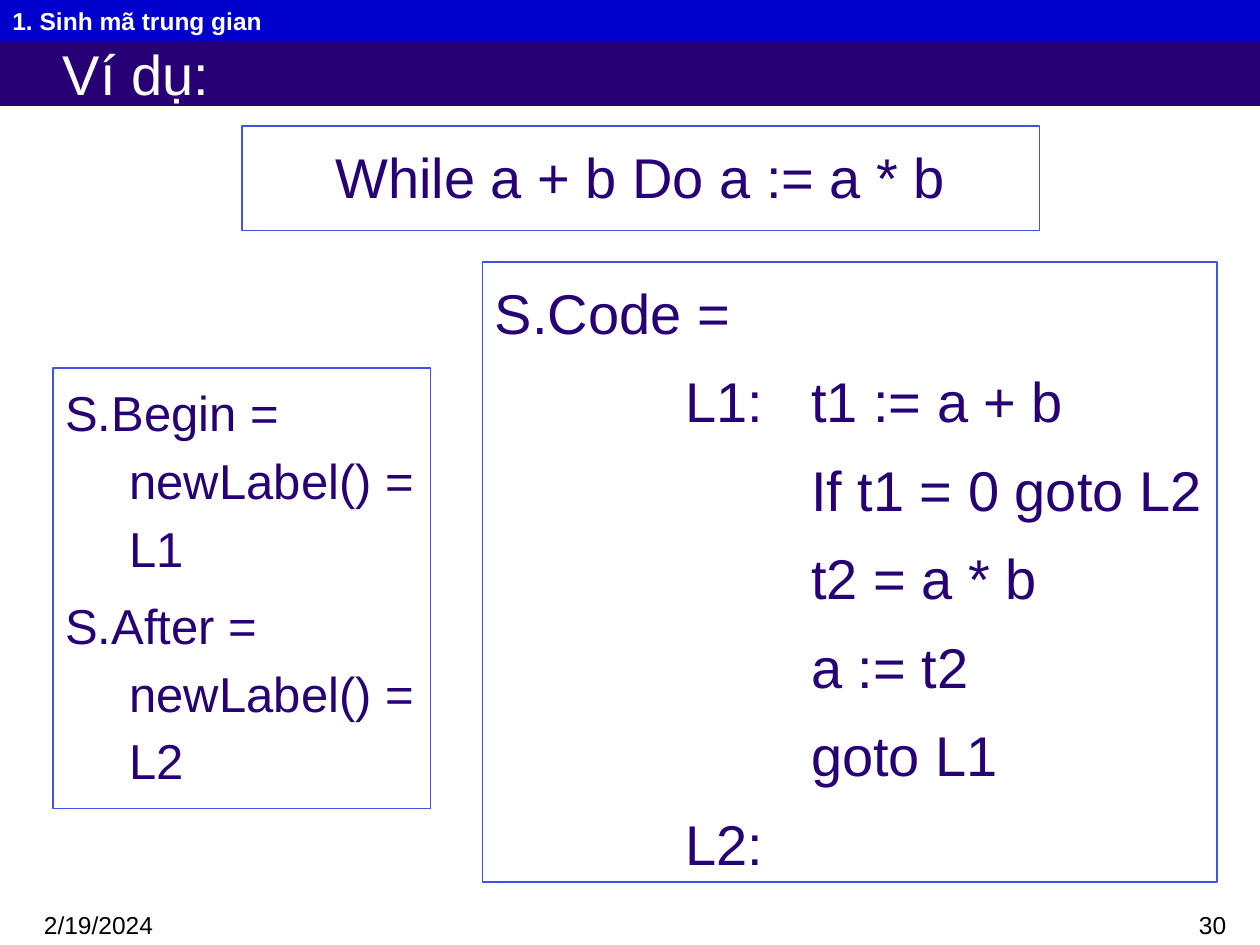
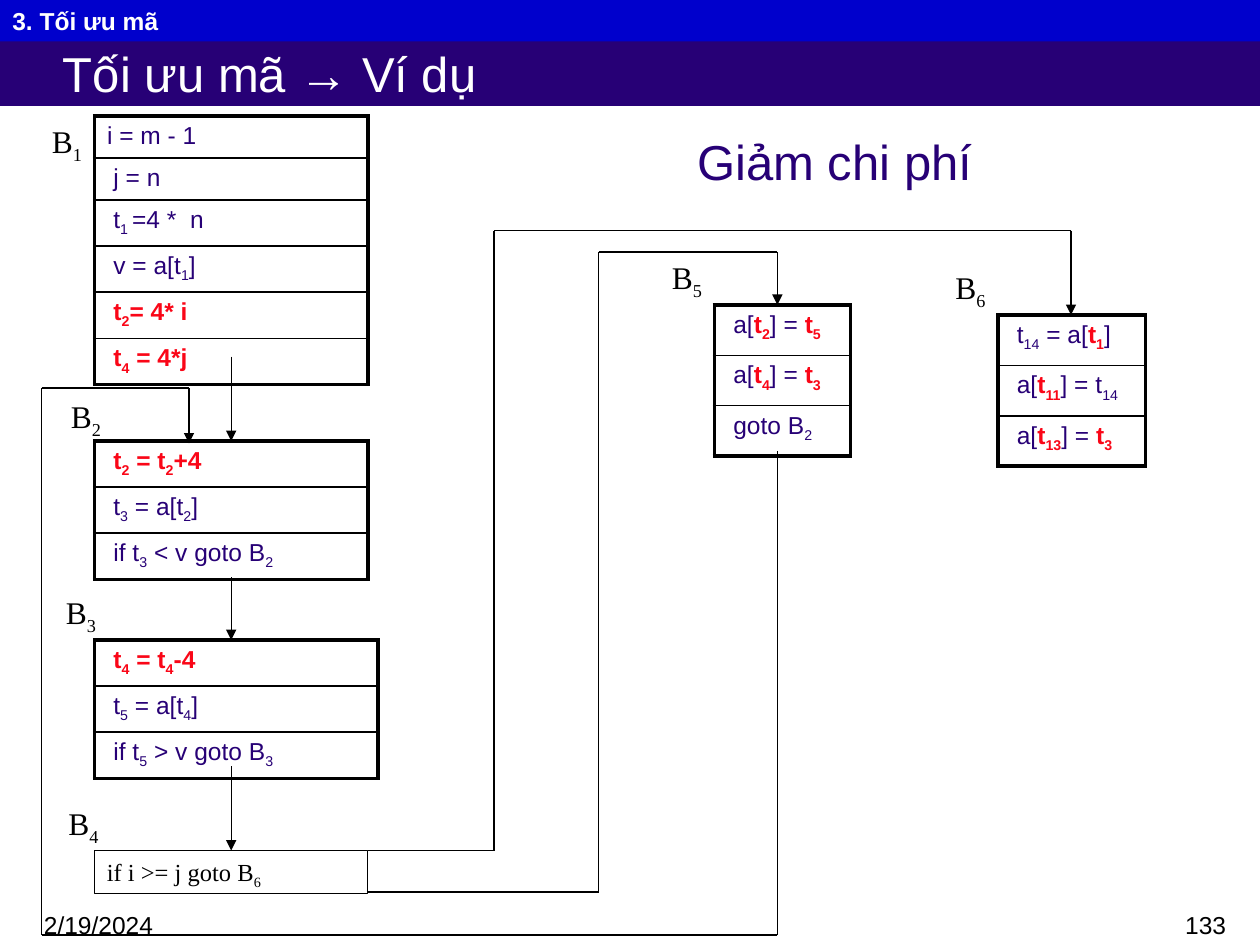
import itertools

import pptx
import pptx.dml.color
import pptx.enum.shapes
import pptx.enum.text
import pptx.oxml
import pptx.oxml.ns
import pptx.util
from pptx.util import Inches

RGBColor = pptx.dml.color.RGBColor
WHITE = RGBColor(0xFF, 0xFF, 0xFF)
BLACK = RGBColor(0x00, 0x00, 0x00)
INDIGO = RGBColor(0x27, 0x00, 0x76)
BAND_BLUE = RGBColor(0x00, 0x00, 0xCC)
FRAME_BLUE = RGBColor(0x3F, 0x53, 0xE5)
RED = RGBColor(0xFA, 0x06, 0x17)

TOP = pptx.enum.text.MSO_ANCHOR.TOP
MIDDLE = pptx.enum.text.MSO_ANCHOR.MIDDLE
LEFT = pptx.enum.text.PP_ALIGN.LEFT
CENTER = pptx.enum.text.PP_ALIGN.CENTER
RIGHT = pptx.enum.text.PP_ALIGN.RIGHT

BODY = {"name": "Arial", "size": 14, "color": INDIGO}
FOOTER = BODY | {"color": BLACK}
SERIF = FOOTER | {"name": "Times New Roman"}
HANG = (0.51, -0.51)

BLOCK_LEFT, BLOCK_WIDTH = 0.75, 2.17
FLOW_X = BLOCK_LEFT + BLOCK_WIDTH / 2


class SlideBuilder:
    def __init__(self):
        self.deck = pptx.Presentation()
        self.deck.slide_width, self.deck.slide_height = Inches(10), Inches(7.5)
        self.page = None

    def new_page(self, chapter, title, title_size, number):
        self.page = self.deck.slides.add_slide(self.deck.slide_layouts[6])
        self.text((0.25, 7.17, 1.92, 0.33), "2/19/2024", FOOTER)
        self.text((7.75, 7.17, 2.08, 0.24), number, FOOTER, align=RIGHT)
        heading = self.box((0, 0.32, 10, 0.52), title,
                           BODY | {"size": title_size, "color": WHITE},
                           fill=INDIGO, anchor=MIDDLE)
        frame = heading.text_frame
        frame.margin_left, frame.margin_top, frame.margin_bottom = Inches(0.5), 0, 0
        self.box((0, 0, 10, 0.33), chapter, BODY | {"color": WHITE, "bold": True},
                 fill=BAND_BLUE)

    def spans(self, para, text, style):
        """Write text in which ^ switches red bold and _ switches subscript."""
        for red_index, part in enumerate(text.split("^")):
            look = style | ({"color": RED, "bold": True} if red_index % 2 else {})
            for sub_index, piece in enumerate(part.split("_")):
                if not piece:
                    continue
                span = para.add_run()
                span.text = piece
                span.font.color.rgb = look["color"]
                values = {"name": look["name"], "size": pptx.util.Pt(look["size"]),
                          "bold": look.get("bold", False)}
                for name, value in values.items():
                    setattr(span.font, name, value)
                if sub_index % 2:
                    span.font._element.set("baseline", "-25000")

    def fill_frame(self, frame, lines, style, align=LEFT, anchor=TOP, spacing=1.0):
        """Fill a frame with one string or with (text, margin, indent) lines."""
        frame.word_wrap, frame.vertical_anchor = True, anchor
        if isinstance(lines, str):
            lines = [(lines, 0, 0)]
        for index, (text, margin, indent) in enumerate(lines):
            para = frame.paragraphs[0] if index == 0 else frame.add_paragraph()
            properties = para._p.get_or_add_pPr()
            properties.set("marL", str(Inches(margin)))
            properties.set("indent", str(Inches(indent)))
            space = pptx.util.Pt(0.2 * style["size"] if index else 0)
            values = {"alignment": align, "line_spacing": spacing, "space_before": space}
            for name, value in values.items():
                setattr(para, name, value)
            self.spans(para, text, style)

    def text(self, area, lines, style, **layout):
        box = self.page.shapes.add_textbox(*map(Inches, area))
        self.fill_frame(box.text_frame, lines, style, **layout)

    def box(self, area, lines, style, fill=None, line=None, **layout):
        box = self.page.shapes.add_shape(
            pptx.enum.shapes.MSO_SHAPE.RECTANGLE, *map(Inches, area))
        box.shadow.inherit = False
        for paint, color in ((box.fill, fill), (box.line.fill, line)):
            if color is None:
                paint.background()
            else:
                paint.solid()
                paint.fore_color.rgb = color
        if line is not None:
            box.line.width = pptx.util.Pt(0.75)
        self.fill_frame(box.text_frame, lines, style, **layout)
        return box

    def code_block(self, left, top, width, row_height, rows, first_margin=0.15):
        """Draw a basic block: one code line per row inside a thick frame."""
        area = (left, top, width, row_height * len(rows))
        table = self.page.shapes.add_table(len(rows), 1, *map(Inches, area)).table
        table.first_row = table.horz_banding = False
        for index, code in enumerate(rows):
            table.rows[index].height = Inches(row_height)
            cell = table.cell(index, 0)
            cell.fill.background()
            cell.margin_left = Inches(0.15 if index else first_margin)
            self.fill_frame(cell.text_frame, code, BODY)
            cell.vertical_anchor = TOP
            self.cell_borders(cell, {
                "lnL": 2.25, "lnR": 2.25,
                "lnT": 1 if index else 2.25,
                "lnB": 2.25 if index == len(rows) - 1 else 1})

    def cell_borders(self, cell, widths):
        properties = cell._tc.get_or_add_tcPr()
        for position, (side, width) in enumerate(widths.items()):
            border = pptx.oxml.parse_xml(
                f'<a:{side} {pptx.oxml.ns.nsdecls("a")} w="{pptx.util.Pt(width)}">'
                f'<a:solidFill><a:srgbClr val="{BLACK}"/></a:solidFill></a:{side}>')
            properties.insert(position, border)

    def route(self, *points, target=None):
        """Join points with lines, with an arrowhead at the last point."""
        for start, end in itertools.pairwise(points):
            line = self.page.shapes.add_connector(
                pptx.enum.shapes.MSO_CONNECTOR.STRAIGHT, *map(Inches, start + end))
            line.line.color.rgb = BLACK
            line.line.width = pptx.util.Pt(0.75)
            properties = line._element.spPr
            pptx.oxml.ns.qn("a:effectLst")
            properties.append(pptx.oxml.parse_xml(
                f'<a:effectLst {pptx.oxml.ns.nsdecls("a")}/>'))
        line.line._get_or_add_ln().append(pptx.oxml.parse_xml(
            f'<a:tailEnd {pptx.oxml.ns.nsdecls("a")} type="triangle"/>'))
        if target is not None:
            line.end_connect(target, 0)


def build_while_example(builder):
    builder.new_page("1. Sinh mã trung gian", "Ví dụ:", 32, "30")
    large = BODY | {"size": 32}
    framed = {"line": FRAME_BLUE, "spacing": 1.15}
    builder.box((1.92, 1, 6.33, 0.83), [("While a + b Do a := a * b", *HANG)],
                large, align=CENTER, **framed)
    statements = ["If t1 = 0 goto L2", "t2 = a * b", "a := t2", "goto L1"]
    code = [("S.Code =", *HANG), ("L1:\tt1 := a + b", 2.51, -1)]
    code += [(statement, 2.51, 0) for statement in statements]
    code.append(("L2:", 2.51, -1))
    builder.box((3.83, 2.08, 5.83, 4.92), code, large, **framed)
    labels = [("S.Begin = newLabel() = L1", *HANG), ("S.After = newLabel() = L2", *HANG)]
    builder.box((0.42, 2.92, 3, 3.5), labels, BODY | {"size": 28}, **framed)


def build_flow_graph(builder):
    builder.new_page("3. Tối ưu mã", "Tối ưu mã → Ví dụ", 28, "133")
    builder.code_block(BLOCK_LEFT, 0.92, BLOCK_WIDTH, 0.33, [
        "i = m - 1", "j = n", "t_1 _=4 *  n", "v = a[t_1_]",
        "^t_2_= 4* i^", "^t_4_ = 4*j^"], first_margin=0.1)
    builder.code_block(BLOCK_LEFT, 3.5, BLOCK_WIDTH, 0.33, [
        "^t_2_ = t_2_+4^", "t_3_ = a[t_2_]", "if t_3_ < v goto B_2_"])
    builder.code_block(BLOCK_LEFT, 5.08, 2.25, 0.33, [
        "^t_4_ = t_4_-4^", "t_5_ = a[t_4_]", "if t_5_ > v goto B_3_"])
    builder.code_block(5.67, 2.42, 1.08, 0.4, [
        "a[^t_2_^] = ^t_5_^", "a[^t_4_^] = ^t_3_^", "goto B_2_"])
    builder.code_block(7.92, 2.5, 1.17, 0.4, [
        "t_14_ = a[^t_1_^]", "a[^t_11_^] = t_14_", "a[^t_13_^] = ^t_3_^"])
    condition = builder.box((BLOCK_LEFT, 6.75, BLOCK_WIDTH, 0.34), "if i >= j goto B_6_",
                            SERIF, line=BLACK)

    builder.route((FLOW_X, 2.83), (FLOW_X, 3.5))
    builder.route((FLOW_X, 4.58), (FLOW_X, 5.08))
    builder.route((FLOW_X, 6.08), (FLOW_X, 6.75), target=condition)
    builder.route((2.92, 6.75), (3.92, 6.75), (3.92, 1.83), (8.5, 1.83), (8.5, 2.5))
    builder.route((2.92, 7.08), (4.75, 7.08), (4.75, 2), (6.17, 2), (6.17, 2.42))
    builder.route((6.17, 3.58), (6.17, 7.42), (0.33, 7.42), (0.33, 3.08),
                  (1.5, 3.08), (1.5, 3.52))

    label_corners = [(0.25, 0.92), (0.4, 3.1), (0.36, 4.66),
                     (0.38, 6.33), (5.17, 2), (7.42, 2.08)]
    for number, corner in enumerate(label_corners, start=1):
        builder.text((*corner, 0.5, 0.4), f"B_{number}_", SERIF | {"size": 18}, align=RIGHT)
    builder.text((3.75, 0.98, 5.75, 0.6), "Giảm chi phí", BODY | {"size": 28},
                 align=CENTER, anchor=MIDDLE)


def main():
    builder = SlideBuilder()
    build_while_example(builder)
    build_flow_graph(builder)
    builder.deck.save("out.pptx")


if __name__ == "__main__":
    main()
